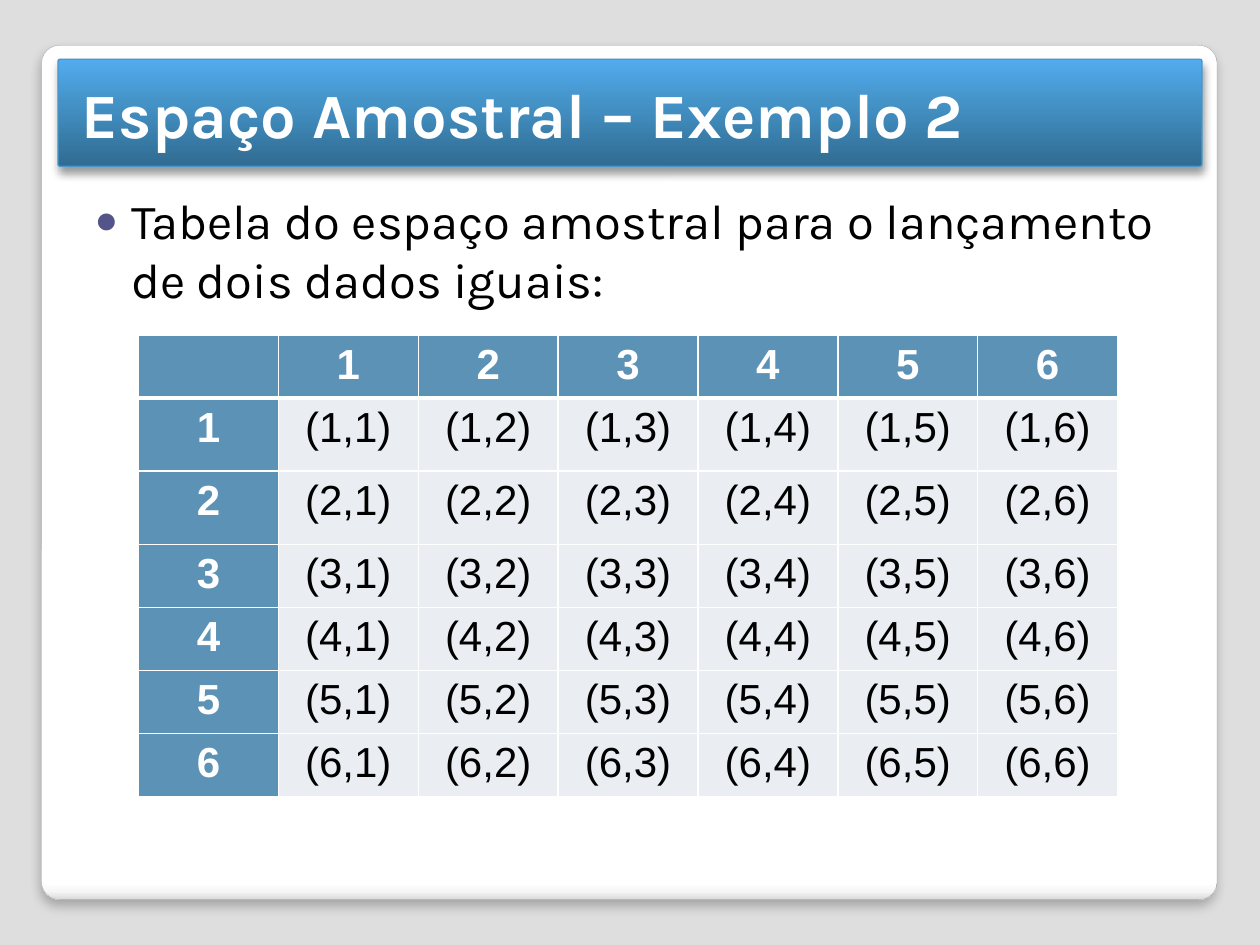
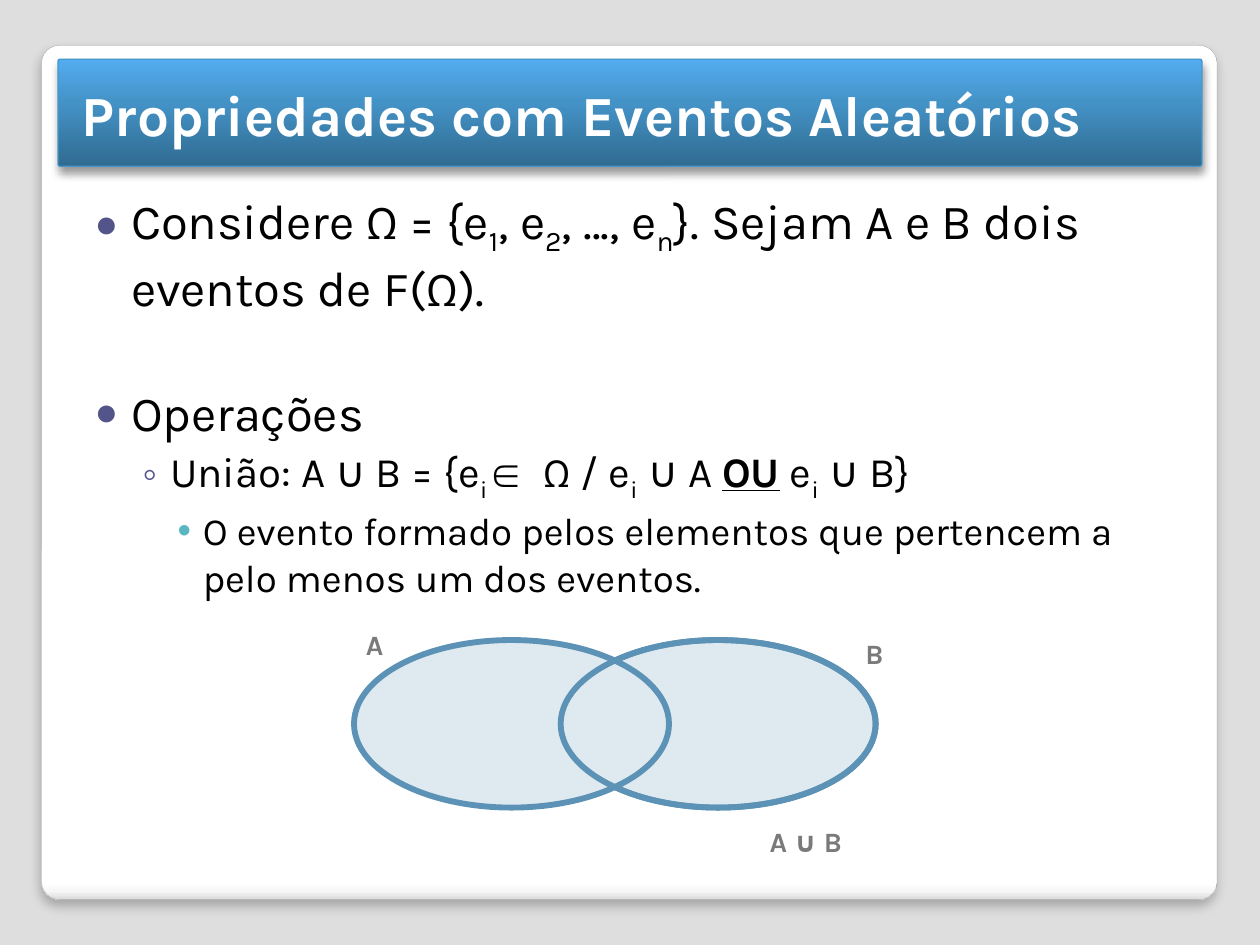
import pptx
import pptx.dml.color
import pptx.enum.shapes
import pptx.enum.text
import pptx.oxml
import pptx.oxml.ns
import pptx.util

Inches = pptx.util.Inches
Pt = pptx.util.Pt
RGBColor = pptx.dml.color.RGBColor
SHAPES = pptx.enum.shapes.MSO_SHAPE
ALIGN = pptx.enum.text.PP_ALIGN
qn = pptx.oxml.ns.qn

WHITE = RGBColor(0xFF, 0xFF, 0xFF)
BLACK = RGBColor(0, 0, 0)
BACKDROP = RGBColor(0xDE, 0xDE, 0xDE)
PANEL_EDGE = RGBColor(0xA4, 0xA4, 0xA4)
PANEL_FADE = RGBColor(0xF7, 0xF7, 0xF7)
PANEL_FOOT = RGBColor(0xDA, 0xDA, 0xDA)
BAND_EDGE = RGBColor(0x46, 0x97, 0xCB)
BAND_DARK = RGBColor(0x30, 0x6B, 0x91)
BAND_MID = RGBColor(0x44, 0x93, 0xC7)
BAND_LIGHT = RGBColor(0x53, 0xAC, 0xF0)
STEEL = RGBColor(0x5C, 0x92, 0xB5)
CELL = RGBColor(0xEA, 0xEE, 0xF3)
SET_FILL = RGBColor(0xDE, 0xE9, 0xF0)
LABEL = RGBColor(0x7A, 0x7A, 0x7A)
VIOLET = RGBColor(0x53, 0x54, 0x8A)
TEAL = RGBColor(0x5A, 0xB7, 0xC2)

FONT = "Karla"
TITLE_BOX = (0.55, 0.47, 8.95, 0.86)
BODY_BOX = (0.55, 1.41, 8.95, 5.31)
LEVELS = [
    {"left": 0.29, "hang": 0.29, "bullet": "●", "color": VIOLET, "percent": 80, "size": 28},
    {"left": 0.6, "hang": 0.22, "bullet": "◦", "color": VIOLET, "percent": 100, "size": 24},
    {"left": 0.86, "hang": 0.2, "bullet": "•", "color": TEAL, "percent": 100, "size": 22},
]
SUB = {"baseline": -25}


def xml(markup):
    return pptx.oxml.parse_xml(markup.replace(
        ">", f' {pptx.oxml.ns.nsdecls("a")}>', 1) if "/>" not in markup.split(">")[0] + ">"
        else markup.replace("/>", f' {pptx.oxml.ns.nsdecls("a")}/>', 1))


def apply(target, values):
    for name, value in values.items():
        setattr(target, name, value)


def place(part, box):
    apply(part, dict(zip(("left", "top", "width", "height"), map(Inches, box))))


def set_insets(frame, left, top, right, bottom):
    apply(frame, {"margin_left": Inches(left), "margin_top": Inches(top),
                  "margin_right": Inches(right), "margin_bottom": Inches(bottom),
                  "word_wrap": True, "auto_size": pptx.enum.text.MSO_AUTO_SIZE.NONE})


def add_run(paragraph, text, size, color, baseline=0, **values):
    run = paragraph.add_run()
    run.text = text
    apply(run.font, {"name": FONT, "size": Pt(size), **values})
    run.font.color.rgb = color
    if baseline:
        run._r.get_or_add_rPr().set("baseline", str(baseline * 1000))


def add_frame_shape(slide, box, stops, angle, edge, edge_width, shadow):
    shape = slide.shapes.add_shape(SHAPES.ROUNDED_RECTANGLE, *map(Inches, box))
    shape.adjustments[0] = 0.021
    shape.fill.gradient()
    shape.fill.gradient_angle = angle
    shape.line.color.rgb = edge
    shape.line.width = Pt(edge_width)
    shape.shadow.inherit = False
    stop_list = next(shape.element.iter(qn("a:gsLst")))
    for stop in list(stop_list):
        stop_list.remove(stop)
    for position, color in stops:
        stop_list.append(xml(f'<a:gs pos="{position * 1000}"><a:srgbClr val="{color}"/></a:gs>'))
    alpha, blur, distance = shadow
    next(shape.element.iter(qn("a:effectLst"))).append(xml(
        f'<a:outerShdw blurRad="{Pt(blur)}" dist="{Pt(distance)}" dir="5400000" rotWithShape="0">'
        f'<a:srgbClr val="000000"><a:alpha val="{alpha * 1000}"/></a:srgbClr></a:outerShdw>'))
    return shape


def build_frame(layout, slide):
    layout.background.fill.solid()
    layout.background.fill.fore_color.rgb = BACKDROP
    panel = add_frame_shape(
        slide, (0.33, 0.36, 9.33, 6.78),
        [(0, WHITE), (98, WHITE), (99, PANEL_FADE), (100, PANEL_FOOT)],
        270, PANEL_EDGE, 0.16, (25, 6, 4))
    band = add_frame_shape(
        slide, (0.46, 0.47, 9.08, 0.85),
        [(0, BAND_DARK), (60, BAND_MID), (100, BAND_LIGHT)],
        90, BAND_EDGE, 0.75, (40, 5.2, 3))
    for order, part in enumerate((panel, band)):
        part.element.nvSpPr.cNvPr.set("id", str(20 + order))
        layout.shapes.element.insert(2 + order, part.element)


def write_title(slide, box, text, size):
    title = slide.shapes.title
    place(title, box)
    frame = title.text_frame
    set_insets(frame, 0.1, 0.05, 0.1, 0.05)
    frame.vertical_anchor = pptx.enum.text.MSO_ANCHOR.MIDDLE
    frame.paragraphs[0].alignment = ALIGN.LEFT
    add_run(frame.paragraphs[0], text, size, WHITE, bold=True)


def write_body(slide, box, items):
    body = slide.placeholders[1]
    place(body, box)
    frame = body.text_frame
    set_insets(frame, 0.2, 0.1, 0.1, 0.05)
    for order, (level, space, runs) in enumerate(items):
        paragraph = frame.add_paragraph() if order else frame.paragraphs[0]
        look = LEVELS[level]
        apply(paragraph, {"level": level, "space_before": Pt(space), "alignment": ALIGN.LEFT})
        properties = paragraph._p.get_or_add_pPr()
        properties.set("marL", str(Inches(look["left"])))
        properties.set("indent", str(-Inches(look["hang"])))
        for markup in (f'<a:buClr><a:srgbClr val="{look["color"]}"/></a:buClr>',
                       f'<a:buSzPct val="{look["percent"] * 1000}"/>',
                       '<a:buFont typeface="Arial"/>',
                       f'<a:buChar char="{look["bullet"]}"/>'):
            properties.append(xml(markup))
        for text, values in runs:
            add_run(paragraph, text, look["size"], BLACK, **values)


def add_dice_table(slide, box, faces):
    count = faces + 1
    table = slide.shapes.add_table(count, count, *map(Inches, box)).table
    apply(table, {"first_row": False, "horz_banding": False})
    for column in table.columns:
        column.width = Inches(box[2] / count)
    for order, row in enumerate(table.rows):
        row.height = Inches(0.58 if order in (1, 2) else 0.5)
        for position, cell in enumerate(row.cells):
            heading = order == 0 or position == 0
            text = f"({order},{position})" if not heading else str(order or position or "")
            widths = {"lnL": 1, "lnR": 1, "lnT": 3 if order == 1 else 1, "lnB": 1 if order else 3}
            for side, width in widths.items():
                cell._tc.get_or_add_tcPr().append(xml(
                    f'<a:{side} w="{Pt(width)}"><a:solidFill><a:srgbClr val="{WHITE}"/>'
                    f'</a:solidFill></a:{side}>'))
            cell.fill.solid()
            cell.fill.fore_color.rgb = STEEL if heading else CELL
            paragraph = cell.text_frame.paragraphs[0]
            paragraph.alignment = ALIGN.CENTER
            if text:
                add_run(paragraph, text, 24, WHITE if heading else BLACK, name="Arial", bold=heading)


def add_venn(slide, box):
    left, top, width, height = box
    oval_width = 2.5
    right_oval = left + width - oval_width
    venn = slide.shapes.add_group_shape()
    for oval_left, filled in ((right_oval, True), (left, True), (right_oval, False)):
        oval = venn.shapes.add_shape(
            SHAPES.OVAL, *map(Inches, (oval_left, top, oval_width, height)))
        oval.shadow.inherit = False
        if filled:
            oval.fill.solid()
            oval.fill.fore_color.rgb = SET_FILL
        else:
            oval.fill.background()
        oval.line.color.rgb = STEEL
        oval.line.width = Pt(3.35)
    labels = [("B", 3.75, -0.16, 0.55, 0.39, ALIGN.RIGHT),
              ("A", -0.22, -0.23, 0.55, 0.39, ALIGN.RIGHT),
              ("A ∪ B", 2.81, 1.33, 1.41, 0.47, ALIGN.CENTER)]
    for text, across, down, label_width, label_height, alignment in labels:
        label = slide.shapes.add_textbox(
            *map(Inches, (left + across, top + down, label_width, label_height)))
        set_insets(label.text_frame, 0.2, 0, 0.1, 0.05)
        paragraph = label.text_frame.paragraphs[0]
        apply(paragraph, {"alignment": alignment, "line_spacing": 1.5})
        paragraph._p.get_or_add_pPr().set("marL", str(Inches(0.04)))
        add_run(paragraph, text, 16, LABEL, bold=True)


def build_sample_space(slide):
    write_title(slide, TITLE_BOX, "Espaço Amostral – Exemplo 2", 36)
    write_body(slide, BODY_BOX, [
        (0, 2.5, [("Tabela do espaço amostral para o lançamento de dois dados iguais:", {})]),
    ])
    add_dice_table(slide, (1.1, 2.66, 7.77, 3.66), 6)


def build_event_properties(slide):
    write_title(slide, TITLE_BOX, "Propriedades com Eventos Aleatórios", 32.4)
    write_body(slide, BODY_BOX, [
        (0, 2.5, [("Considere \u2126 = {e", {}), ("1", SUB), (", e", {}), ("2", SUB),
                  (", ..., e", {}), ("n", SUB),
                  ("}. Sejam A e B dois eventos de F(\u2126).", {})]),
        (0, 38, [("Operações", {})]),
        (1, 2.5, [("União: A ∪ B = {e", {}), ("i ", SUB), ("∈ ", {"name": "Courier New"}),
                  ("\u2126 / e", {}), ("i", SUB), (" ∪ A ", {}),
                  ("OU", {"bold": True, "underline": True}), (" e", {}), ("i", SUB),
                  (" ∪ B}", {})]),
        (2, 2.5, [("O evento formado pelos elementos que pertencem a pelo menos um dos eventos.", {})]),
    ])
    add_venn(slide, (2.81, 5.08, 4.14, 1.33))


deck = pptx.Presentation()
apply(deck, {"slide_width": Inches(10), "slide_height": Inches(7.5)})
content_layout = deck.slide_layouts[1]
sample_space = deck.slides.add_slide(content_layout)
event_properties = deck.slides.add_slide(content_layout)
build_frame(content_layout, sample_space)
build_sample_space(sample_space)
build_event_properties(event_properties)
deck.save("out.pptx")
